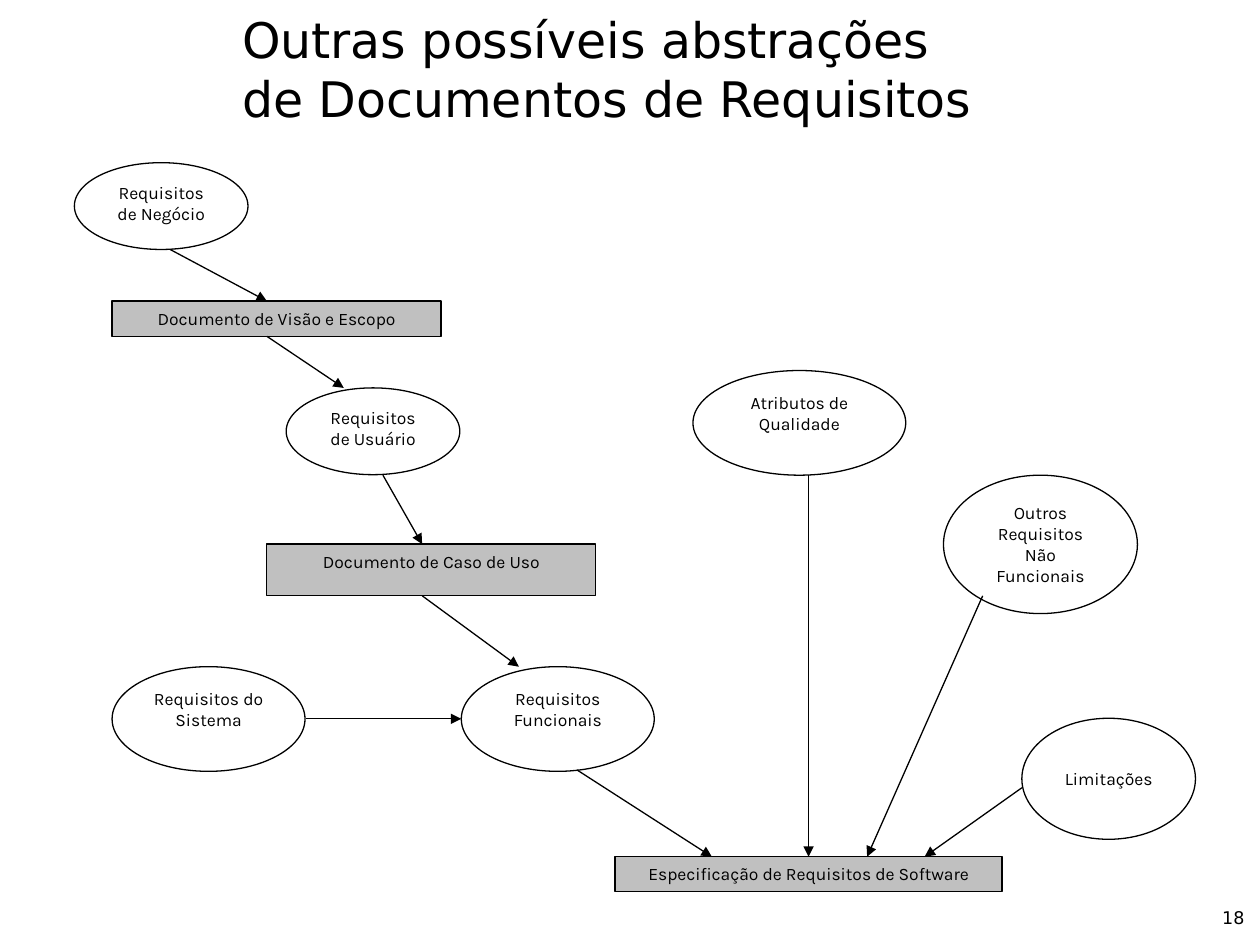
from lxml import etree
from pptx import Presentation
from pptx.dml.color import RGBColor
from pptx.enum.shapes import MSO_CONNECTOR, MSO_SHAPE
from pptx.enum.text import MSO_ANCHOR, MSO_AUTO_SIZE, PP_ALIGN
from pptx.oxml.ns import qn
from pptx.util import Cm, Pt

BLACK = RGBColor(0x00, 0x00, 0x00)
WHITE = RGBColor(0xFF, 0xFF, 0xFF)
GREY = RGBColor(0xC0, 0xC0, 0xC0)
ELLIPSE, RECTANGLE = MSO_SHAPE.OVAL, MSO_SHAPE.RECTANGLE
STRAIGHT = MSO_CONNECTOR.STRAIGHT
TOP, MIDDLE = MSO_ANCHOR.TOP, MSO_ANCHOR.MIDDLE
LEFT, CENTER = PP_ALIGN.LEFT, PP_ALIGN.CENTER
NO_AUTOFIT = MSO_AUTO_SIZE.NONE
HEADING_FONT, NODE_FONT = "DejaVu Sans", "Karla"
TOP_SITE = 0
LINE_WIDTH = Pt(0.75)

# Lengths in cm, relative to the diagram box: left, top, width, height
REQUIREMENTS = {
    "Requisitos de Negócio": (0, 0, 3.5, 1.75),
    "Requisitos de Usuário": (4.27, 4.54, 3.5, 1.75),
    "Atributos de Qualidade": (12.47, 4.19, 4.29, 2.11),
    "Requisitos Funcionais": (7.8, 10.16, 3.89, 2.11),
    "Requisitos do Sistema": (0.76, 10.16, 3.89, 2.11),
    "Outros Requisitos Não Funcionais": (17.52, 6.3, 3.91, 2.79),
}
LIMITS = {"Limitações": (19.1, 11.2, 3.5, 2.44)}
DOCUMENTS = {
    "Documento de Visão e Escopo": (0.76, 2.79, 6.63, 0.71),
    "Documento de Caso de Uso": (3.88, 7.69, 6.63, 1.04),
}
SPECIFICATION = ("Especificação de Requisitos de Software", (10.9, 13.99, 7.8, 0.71))

# Start and end of each arrow, relative to the diagram box
ARROWS = [
    ((1.93, 1.75), (3.88, 2.79)),
    ((3.88, 3.5), (5.43, 4.54)),
    ((6.22, 6.3), (7.01, 7.69)),
    ((7.01, 8.73), (8.96, 10.16)),
    ((4.66, 11.21), (7.8, 11.21)),
    ((10.13, 12.24), (12.85, 13.99)),
    ((18.31, 8.73), (15.98, 13.99)),
    ((19.1, 12.6), (17.14, 13.99)),
]
QUALITY_ARROW = ((14.8, 6.3), (14.8, 13.99))


def set_all(target, values):
    for attribute, value in values.items():
        setattr(target, attribute, value)


def write(frame, text, font, size, align, margins=(0, 0), anchor=TOP):
    """Fill a text frame with one formatted paragraph."""
    side, end = (Cm(margin) for margin in margins)
    set_all(frame, {
        "word_wrap": True, "auto_size": NO_AUTOFIT, "vertical_anchor": anchor,
        "margin_left": side, "margin_right": side,
        "margin_top": end, "margin_bottom": end,
    })
    frame.text = text
    paragraph = frame.paragraphs[0]
    paragraph.alignment = align
    for run in paragraph.runs:
        set_all(run.font, {"name": font, "size": Pt(size)})
        run.font.color.rgb = BLACK


def add_title(slide, left, top, width, height):
    title = slide.shapes.title
    set_all(title, {"left": Cm(left), "top": Cm(top),
                    "width": Cm(width), "height": Cm(height)})
    write(title.text_frame, "Outras possíveis abstrações\vde Documentos de Requisitos",
          HEADING_FONT, 28, LEFT)
    title.text_frame.paragraphs[0].line_spacing = 1.0


def add_page_number(slide, left, top, width, height):
    number = slide.shapes.add_textbox(Cm(left), Cm(top), Cm(width), Cm(height))
    write(number.text_frame, "18", HEADING_FONT, 10, LEFT)


def add_node(slide, origin, text, box, kind, fill, anchor=TOP):
    left, top, width, height = box
    node = slide.shapes.add_shape(kind, Cm(origin[0] + left), Cm(origin[1] + top),
                                  Cm(width), Cm(height))
    node.shadow.inherit = False
    node.fill.solid()
    node.fill.fore_color.rgb = fill
    node.line.color.rgb = BLACK
    node.line.width = LINE_WIDTH
    write(node.text_frame, text, NODE_FONT, 10, CENTER, (0.25, 0.13), anchor)
    return node


def add_arrow(slide, origin, start, end):
    points = [Cm(origin[axis] + point[axis]) for point in (start, end) for axis in (0, 1)]
    arrow = slide.shapes.add_connector(STRAIGHT, *points)
    arrow.line.color.rgb = BLACK
    arrow.line.width = LINE_WIDTH
    # Arrowhead, and an empty effect list against the theme shadow
    etree.SubElement(arrow.line._get_or_add_ln(), qn("a:tailEnd"), type="triangle")
    etree.SubElement(arrow._element.spPr, qn("a:effectLst"))
    return arrow


def add_diagram(slide, left, top):
    origin = (left, top)
    # Requirement ellipses and document boxes
    for nodes, kind, fill, anchor in (
        (REQUIREMENTS, ELLIPSE, WHITE, TOP),
        (LIMITS, ELLIPSE, WHITE, MIDDLE),
        (DOCUMENTS, RECTANGLE, GREY, TOP),
    ):
        for text, box in nodes.items():
            add_node(slide, origin, text, box, kind, fill, anchor)
    specification = add_node(slide, origin, *SPECIFICATION, RECTANGLE, GREY)

    # Arrows between them
    for start, end in ARROWS:
        add_arrow(slide, origin, start, end)
    quality_arrow = add_arrow(slide, origin, *QUALITY_ARROW)
    quality_arrow.end_connect(specification, TOP_SITE)


def main():
    deck = Presentation()
    set_all(deck, {"slide_width": Cm(25.4), "slide_height": Cm(19.05)})
    slide = deck.slides.add_slide(deck.slide_layouts[5])
    add_page_number(slide, 24.64, 18.29, 1.27, 0.64)
    add_title(slide, 4.88, 0.2, 20.12, 1.45)
    add_diagram(slide, 1.5, 3.28)
    deck.save("out.pptx")


if __name__ == "__main__":
    main()
